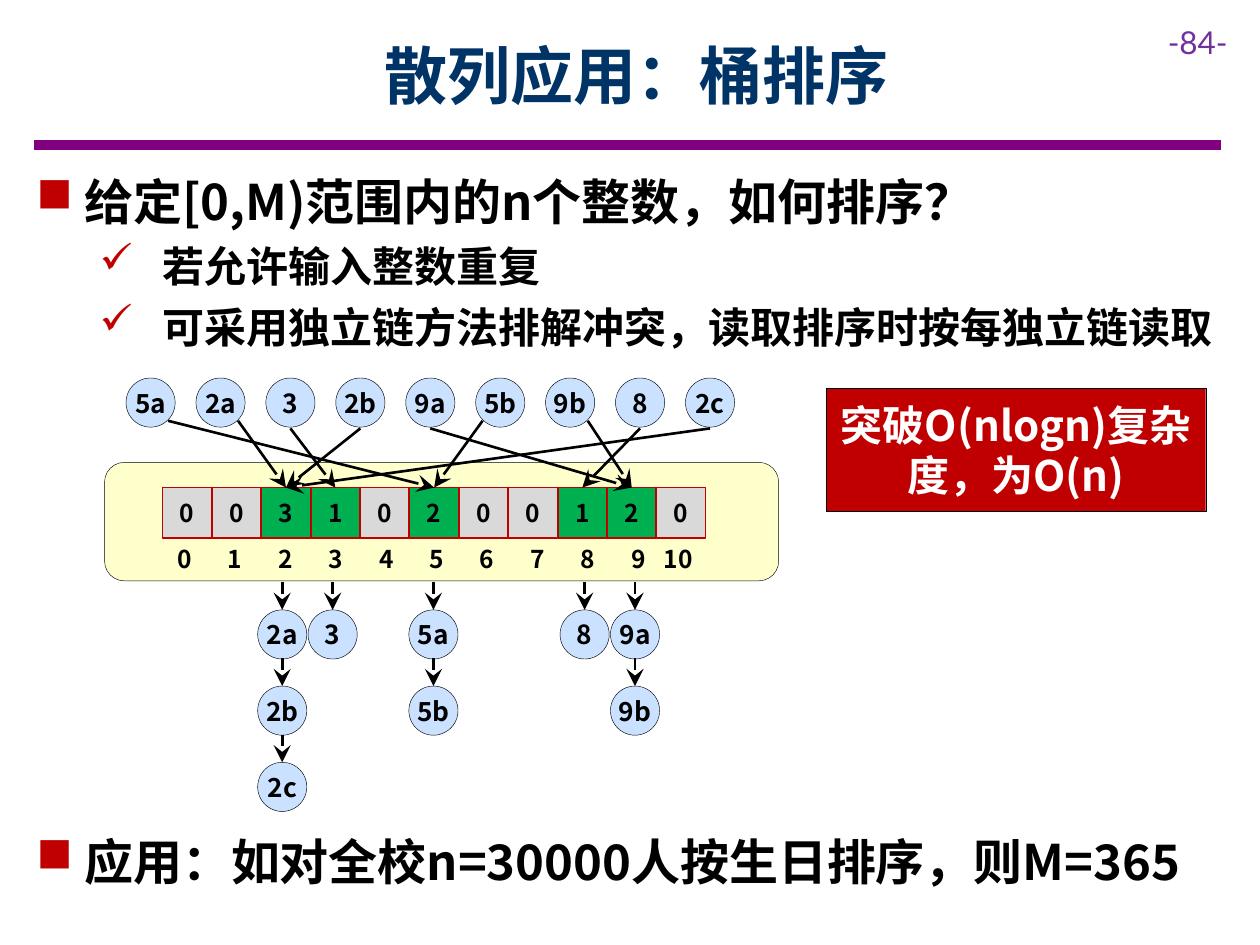
from collections import defaultdict

from lxml import etree
from pptx import Presentation
from pptx.dml.color import RGBColor
from pptx.enum.shapes import MSO_CONNECTOR as Link, MSO_SHAPE as Kind
from pptx.enum.text import MSO_ANCHOR as Anchor, PP_ALIGN as Align
from pptx.oxml.ns import qn
from pptx.util import Inches, Pt

FONT = "Noto Sans CJK SC"
hue = RGBColor.from_string


def write(para, text, size, color="000000", font=FONT, bold=True):
    run = para.add_run()
    run.text = text
    run.font.size = Pt(size)
    run.font.bold = bold
    run.font.name = font
    run.font.color.rgb = hue(color)
    etree.SubElement(run._r.get_or_add_rPr(), qn("a:ea"), typeface=font)


def draw(kind, box, fill, edge="000000", width=0.25, pad=(0, 0)):
    """Add a filled shape and return its centred first paragraph."""
    shape = slide.shapes.add_shape(kind, *map(Inches, box))
    shape.shadow.inherit = False
    shape.fill.solid()
    shape.fill.fore_color.rgb = hue(fill)
    shape.line.color.rgb = hue(edge)
    shape.line.width = Pt(width)
    frame = shape.text_frame
    frame.word_wrap = True
    frame.vertical_anchor = Anchor.MIDDLE
    frame.margin_left = frame.margin_right = Inches(pad[0])
    frame.margin_top = frame.margin_bottom = Inches(pad[1])
    para = frame.paragraphs[0]
    para.alignment = Align.CENTER
    return para


prs = Presentation()
prs.slide_width, prs.slide_height = Inches(10), Inches(7.5)
slide = prs.slides.add_slide(prs.slide_layouts[5])

# Title and page number
title = slide.shapes.title
title.left, title.top = Inches(0.9), Inches(0.09)
title.width, title.height = Inches(8.31), Inches(1)
title.text_frame.vertical_anchor = Anchor.MIDDLE
head = title.text_frame.paragraphs[0]
head.alignment = Align.CENTER
write(head, "散列应用：桶排序", 36, "003366")

page = slide.shapes.add_textbox(Inches(9.17), Inches(0.13), Inches(0.83), Inches(0.4))
page.text_frame.word_wrap = True
write(page.text_frame.paragraphs[0], "-84-", 18, "7030A0", "Lato", False)

# Bulleted text: level 1 or 2
bodies = [
    (1.31, 4.07, [
        (1, "给定[0,M)范围内的n个整数，如何排序？"),
        (2, "若允许输入整数重复"),
        (2, "可采用独立链方法排解冲突，读取排序时按每独立链读取"),
    ]),
    (6.55, 0.57, [(1, "应用：如对全校n=30000人按生日排序，则M=365")]),
]
# In Wingdings, n is a square and ü a check mark
styles = {1: ("n", 28, 0.38, 0.38), 2: ("ü", 24, 1, 0.5)}
for top, height, items in bodies:
    body = slide.shapes.add_textbox(Inches(0.19), Inches(top), Inches(9.69), Inches(height))
    frame = body.text_frame
    frame.word_wrap = True
    for i, (level, text) in enumerate(items):
        mark, size, left, hang = styles[level]
        para = frame.add_paragraph() if i else frame.paragraphs[0]
        para.level = level - 1
        para.space_after = Pt(6)
        props = para._p.get_or_add_pPr()
        props.set("marL", str(Inches(left)))
        props.set("indent", str(-Inches(hang)))
        tint = etree.SubElement(props, qn("a:buClr"))
        etree.SubElement(tint, qn("a:srgbClr"), val="C00000")
        etree.SubElement(props, qn("a:buFont"), typeface="Wingdings",
                         pitchFamily="2", charset="2")
        etree.SubElement(props, qn("a:buChar"), char=mark)
        write(para, text, size)

# Input keys, with the sideways shift of each arrow's start
keys = [("5a", 0.14), ("2a", 0.14), ("3", 0), ("2b", 0), ("9a", 0),
        ("5b", -0.14), ("9b", 0.14), ("8", 0), ("2c", 0)]
ball = 0.39
cell = 0.392
nodes, arrows = [], []
chains = defaultdict(list)
for i, (key, shift) in enumerate(keys):
    slot = int(key[0])
    left = 1 + 0.555 * i
    nodes.append((key, left, 3))
    chains[slot].append(key)
    goal = 1.29 + cell * (slot + 0.5)
    arrows.append((left + ball / 2 + shift, 3.34 if shift else 3.4, goal, 3.87))

for slot, chain in chains.items():
    mid = 1.44 + 0.4 * slot
    for row, key in enumerate(sorted(chain)):
        drop = 0.605 * row
        nodes.append((key, mid - ball / 2, 4.84 + drop))
        arrows.append((mid, 4.62 + drop, mid, 4.84 + drop))

# Hash table with counts and indices
panel = draw(Kind.ROUNDED_RECTANGLE, (0.83, 3.67, 5.35, 0.94), "FFFFCC")
for slot in range(11):
    count = len(chains[slot])
    fill = "00B050" if count else "D9D9D9"
    para = draw(Kind.RECTANGLE, (1.29 + cell * slot, 3.87, 0.39, 0.4), fill, "C00000", 1)
    write(para, str(count), 14)
    left, width = (5.17, 0.44) if slot == 10 else (1.31 + 0.4 * slot, 0.32)
    label = slide.shapes.add_textbox(Inches(left), Inches(4.27), Inches(width), Inches(0.34))
    label.text_frame.word_wrap = False
    write(label.text_frame.paragraphs[0], str(slot), 14)

for key, left, top in nodes:
    write(draw(Kind.OVAL, (left, top, ball, ball), "CAE2FF", pad=(0, 0.1)), key, 15)

# Title rule and arrows
lines = [((0.27, 1.15, 9.69, 1.15), "800080", 6, False)]
lines += [(ends, "000000", 1.5, True) for ends in arrows]
for ends, color, width, tip in lines:
    link = slide.shapes.add_connector(Link.STRAIGHT, *map(Inches, ends))
    link.line.color.rgb = hue(color)
    link.line.width = Pt(width)
    if tip:
        etree.SubElement(link.line._get_or_add_ln(), qn("a:tailEnd"), type="stealth",
                         w="lg", len="lg")
    etree.SubElement(link._element.spPr, qn("a:effectLst"))

# Conclusion
note = draw(Kind.RECTANGLE, (6.56, 3.08, 3.01, 0.98), "C00000", pad=(0.1, 0.1))
write(note, "突破O(nlogn)复杂度，为O(n)", 24, "FFFFFF")

prs.save("out.pptx")
